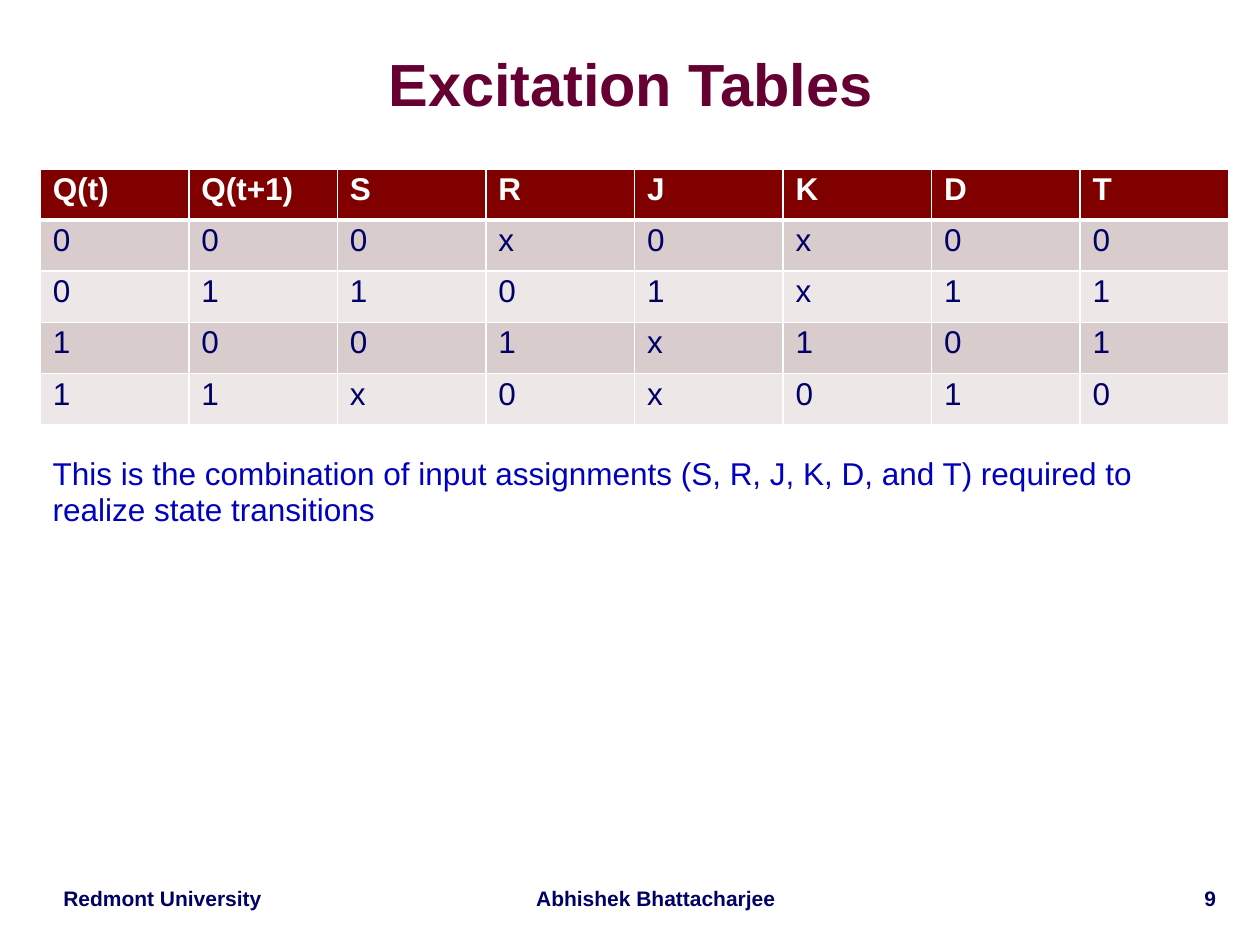
import pptx
import pptx.dml.color
import pptx.enum.text
import pptx.oxml
import pptx.oxml.ns
import pptx.util

Inches = pptx.util.Inches
Pt = pptx.util.Pt
ALIGN = pptx.enum.text.PP_ALIGN
ANCHOR = pptx.enum.text.MSO_ANCHOR

COLORS = {
    "title": "660033",
    "navy": "000066",
    "blue": "0000C0",
    "white": "FFFFFF",
    "header": "800000",
    "band_dark": "D8CCCC",
    "band_light": "EDE7E7",
}


def rgb(name):
    """Return the named colour."""
    return pptx.dml.color.RGBColor.from_string(COLORS[name])


class SlideBuilder:
    """Holds the style and the current slide."""

    font = "Arial"

    def __init__(self, page):
        self.page = page

    def style(self, paragraph, size, color, bold=False, align=ALIGN.LEFT, spacing=0.9):
        """Set the font and layout of a paragraph."""
        paragraph.alignment = align
        paragraph.line_spacing = spacing
        font = paragraph.font
        font.name, font.size, font.bold = self.font, Pt(size), bold
        font.color.rgb = rgb(color)

    def text(self, words, place, size, color, anchor=ANCHOR.TOP, inset=(0.1, 0.05), **style):
        """Add a wrapped text box."""
        box = self.page.shapes.add_textbox(*map(Inches, place))
        frame = box.text_frame
        frame.word_wrap = True
        frame.vertical_anchor = anchor
        frame.margin_left = frame.margin_right = Inches(inset[0])
        frame.margin_top = frame.margin_bottom = Inches(inset[1])
        paragraph = frame.paragraphs[0]
        paragraph.text = words
        self.style(paragraph, size, color, **style)

    def borders(self, cell, top, bottom):
        """Draw white cell borders, 1 pt wide at the sides."""
        properties = cell._tc.get_or_add_tcPr()
        widths = {"lnL": 1, "lnR": 1, "lnT": top, "lnB": bottom}
        for index, (tag, width) in enumerate(widths.items()):
            line = pptx.oxml.parse_xml(
                f'<a:{tag} {pptx.oxml.ns.nsdecls("a")} w="{Pt(width)}"><a:solidFill>'
                f'<a:srgbClr val="{COLORS["white"]}"/></a:solidFill></a:{tag}>'
            )
            properties.insert(index, line)

    def table(self, rows, place):
        """Add a table with a header row and banded body rows."""
        shape = self.page.shapes.add_table(len(rows), len(rows[0]), *map(Inches, place))
        for r, row in enumerate(rows):
            header = r == 0
            fill = "header" if header else "band_dark" if r % 2 else "band_light"
            for c, words in enumerate(row):
                cell = shape.table.cell(r, c)
                cell.text = words
                cell.fill.solid()
                cell.fill.fore_color.rgb = rgb(fill)
                self.style(cell.text_frame.paragraphs[0], 18,
                           "white" if header else "navy", bold=header)
                self.borders(cell, top=3 if r == 1 else 1, bottom=3 if header else 1)


deck = pptx.Presentation()
deck.slide_width, deck.slide_height = Inches(10), Inches(7.5)
slide = SlideBuilder(deck.slides.add_slide(deck.slide_layouts[6]))

footers = [
    ("Redmont University", (0.33, 7, 1.92, 0.28), ALIGN.CENTER),
    ("Abhishek Bhattacharjee", (4.08, 7, 2.25, 0.28), ALIGN.CENTER),
    ("9", (8.17, 7, 1.58, 0.28), ALIGN.RIGHT),
]
for words, place, align in footers:
    slide.text(words, place, 12, "navy", bold=True, align=align)

slide.text("Excitation Tables", (0.31, 0.27, 9.39, 0.85), 34, "title", anchor=ANCHOR.MIDDLE,
           inset=(0, 0), bold=True, align=ALIGN.CENTER, spacing=0.87)

excitations = [
    ["Q(t)", "Q(t+1)", "S", "R", "J", "K", "D", "T"],
    *map(list, ["000x0x00", "01101x11", "1001x101", "11x0x010"]),
]
slide.table(excitations, (0.32, 1.34, 9.43, 2.03))

slide.text("This is the combination of input assignments (S, R, J, K, D, and T) "
           "required to realize state transitions",
           (0.32, 3.58, 9.43, 3.25), 18, "blue", spacing=0.95)

deck.save("out.pptx")
